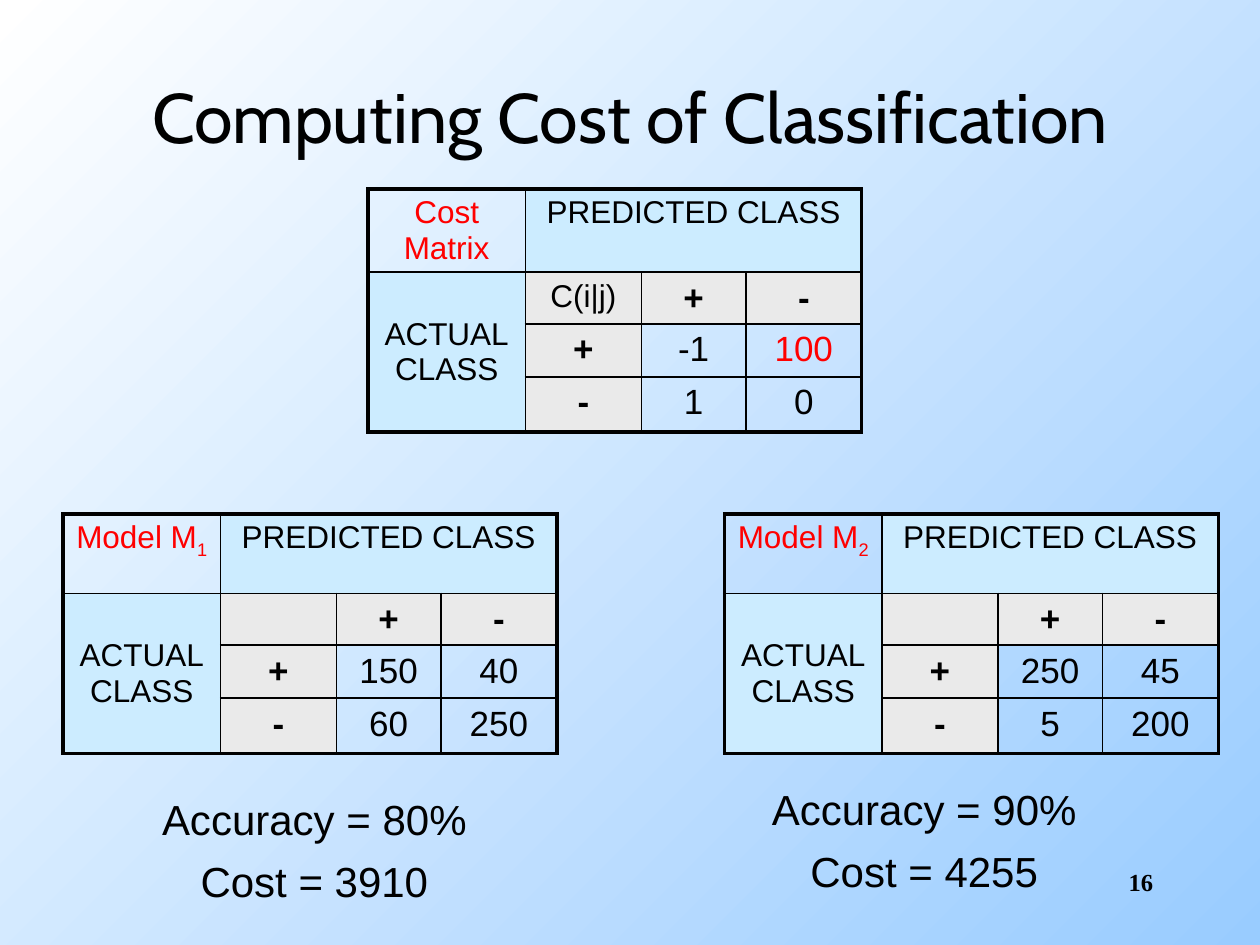
from lxml import etree
from pptx import Presentation
from pptx.dml.color import RGBColor
from pptx.enum.text import MSO_ANCHOR, PP_ALIGN
from pptx.oxml.ns import qn
from pptx.util import Inches, Pt

CENTER, RIGHT = PP_ALIGN.CENTER, PP_ALIGN.RIGHT
TOP, MIDDLE = MSO_ANCHOR.TOP, MSO_ANCHOR.MIDDLE
COLORS = {"text": "000000", "accent": "FF0000", "class": "CCECFF",
          "sign": "EAEAEA", "bg_start": "FFFFFF", "bg_end": "99CCFF"}
COL_WIDTHS = [1.25, 0.92, 0.83, 0.92]
ROW_HEIGHTS = [0.63, 0.38, 0.42, 0.44]
OUTER, INNER = 2.25, 1


def rgb(name):
    return RGBColor.from_string(COLORS[name])


class SlideBuilder:
    """Holds the text style and the current slide."""

    font = "Arial"

    def __init__(self, prs):
        self.slide = prs.slides.add_slide(prs.slide_layouts[5])

    def background(self):
        fill = self.slide.background.fill
        fill.gradient()
        fill.gradient_angle = 315
        for stop, name, pos in zip(fill.gradient_stops, ("bg_start", "bg_end"), (0, 1)):
            stop.color.rgb = rgb(name)
            stop.position = pos

    def style(self, p, size, color="text", bold=False, font=None, align=CENTER):
        p.alignment = align
        for r in p.runs:
            r.font.name = font or self.font
            r.font.size = Pt(size)
            r.font.bold = bold
            r.font.color.rgb = rgb(color)

    def title(self, text, x, y, w, h):
        sp = self.slide.shapes.title
        sp.left, sp.top, sp.width, sp.height = map(Inches, (x, y, w, h))
        tf = sp.text_frame
        tf.text = text
        tf.vertical_anchor = MIDDLE
        self.style(tf.paragraphs[0], 40, font="Cabin")

    def text(self, lines, x, y, w, h, size, **style):
        sp = self.slide.shapes.add_textbox(*map(Inches, (x, y, w, h)))
        tf = sp.text_frame
        tf.word_wrap = True
        tf.text = "\n".join(lines)
        for i, p in enumerate(tf.paragraphs):
            self.style(p, size, **style)
            p.space_before = Pt(0.1 * size if i else 0)
            p.space_after = Pt(4)

    def borders(self, cell, row, col):
        """Draw thick lines on the table's edge and thin ones inside it."""
        on_edge = {"L": col == 0, "R": col + cell.span_width == len(COL_WIDTHS),
                   "T": row == 0, "B": row + cell.span_height == len(ROW_HEIGHTS)}
        tcPr = cell._tc.get_or_add_tcPr()
        for side, edge in on_edge.items():
            if cell.is_spanned and not edge:
                continue
            ln = etree.SubElement(tcPr, qn(f"a:ln{side}"),
                                  w=str(Pt(OUTER if edge else INNER)))
            fill = etree.SubElement(ln, qn("a:solidFill"))
            etree.SubElement(fill, qn("a:srgbClr"), val=COLORS["text"])

    def cell(self, cell, text, size, fill=None, anchor=TOP, **style):
        p = cell.text_frame.paragraphs[0]
        p.text = text
        p.space_before, p.space_after = Pt(0), Pt(4)
        cell.vertical_anchor = anchor
        self.style(p, size, **style)
        if fill:
            cell.fill.solid()
            cell.fill.fore_color.rgb = rgb(fill)
        else:
            cell.fill.background()
        return p

    def matrix(self, x, y, name, counts, subscript="", corner="", highlight=None):
        """Add a two-class matrix of actual against predicted class."""
        size = [Inches(sum(lengths)) for lengths in (COL_WIDTHS, ROW_HEIGHTS)]
        table = self.slide.shapes.add_table(
            len(ROW_HEIGHTS), len(COL_WIDTHS), Inches(x), Inches(y), *size).table
        table.first_row = table.horz_banding = False
        for column, width in zip(table.columns, COL_WIDTHS):
            column.width = Inches(width)
        for row, height in zip(table.rows, ROW_HEIGHTS):
            row.height = Inches(height)
        table.cell(0, 1).merge(table.cell(0, 3))
        table.cell(1, 0).merge(table.cell(3, 0))
        for i in range(len(ROW_HEIGHTS)):
            for j in range(len(COL_WIDTHS)):
                self.borders(table.cell(i, j), i, j)

        p = self.cell(table.cell(0, 0), name, 18, color="accent")
        if subscript:
            p.add_run().text = subscript
            self.style(p, 18, color="accent")
            p.runs[-1].font._element.set("baseline", "-25000")
        self.cell(table.cell(0, 1), "PREDICTED CLASS", 18, "class")
        self.cell(table.cell(1, 0), "ACTUAL\vCLASS", 18, "class", MIDDLE)
        self.cell(table.cell(1, 1), corner, 18, "sign")
        for i, sign in enumerate("+-"):
            for header in (table.cell(1, i + 2), table.cell(i + 2, 1)):
                self.cell(header, sign, 20, "sign", bold=True)
            for j, count in enumerate(counts[i]):
                color = "accent" if (i, j) == highlight else "text"
                self.cell(table.cell(i + 2, j + 2), str(count), 20, color=color)


def main():
    prs = Presentation()
    prs.slide_width, prs.slide_height = Inches(10), Inches(7.5)
    s = SlideBuilder(prs)
    s.background()
    s.title("Computing Cost of Classification", 0.75, 0.42, 8.5, 1)
    s.matrix(2.92, 1.5, "Cost Matrix", [(-1, 100), (1, 0)],
             corner="C(i|j)", highlight=(0, 1))
    s.matrix(0.5, 4.08, "Model M", [(150, 40), (60, 250)], subscript="1")
    s.matrix(5.75, 4.08, "Model M", [(250, 45), (5, 200)], subscript="2")
    s.text(["Accuracy = 80%", "Cost = 3910"], 0.83, 6.25, 3.33, 1.08, 24)
    s.text(["Accuracy = 90%", "Cost = 4255"], 5.67, 6.17, 3.33, 1.08, 24)
    s.text(["16"], 7.17, 6.83, 2.08, 0.5, 14,
           bold=True, font="Times New Roman", align=RIGHT)
    prs.save("out.pptx")


if __name__ == "__main__":
    main()
